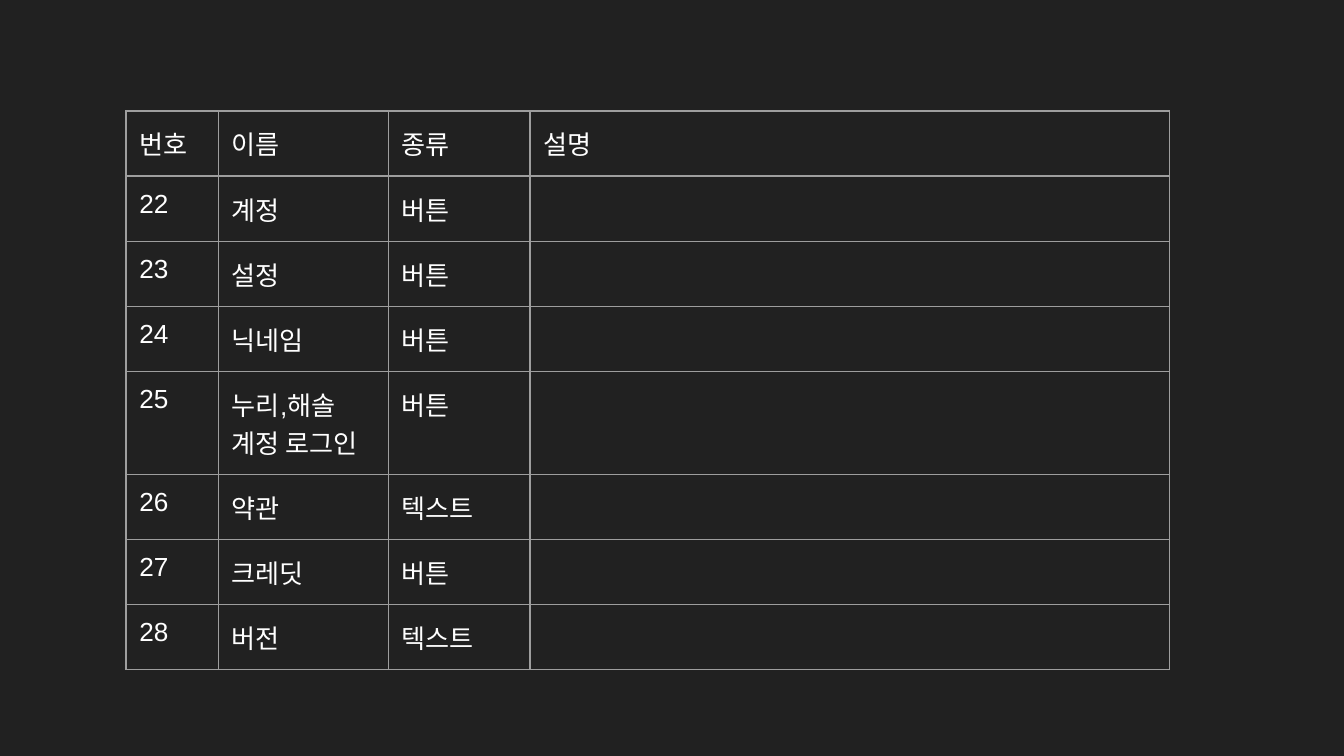
from lxml.etree import SubElement
from pptx import Presentation
from pptx.dml.color import RGBColor
from pptx.oxml.ns import qn
from pptx.util import Pt

HEADER = ("번호", "이름", "종류", "설명")
ITEMS = [
    ("22", "계정", "버튼", ""),
    ("23", "설정", "버튼", ""),
    ("24", "닉네임", "버튼", ""),
    ("25", "누리,해솔 계정 로그인", "버튼", ""),
    ("26", "약관", "텍스트", ""),
    ("27", "크레딧", "버튼", ""),
    ("28", "버전", "텍스트", ""),
]
COLORS = {"background": "212121", "border": "9E9E9E", "text": "FFFFFF"}
FONT = "Arial"
FONT_SIZE = 14
BORDER_WIDTH = 0.75
CELL_MARGIN = 7.2

TABLE_LEFT, TABLE_TOP = 67.5, 59.5
COLUMN_WIDTHS = (49.5, 91, 76, 342.5)
ROW_HEIGHT, TALL_ROW_HEIGHT = 30, 46
TALL_ITEM = "25"


def add_borders(cell):
    properties = cell._tc.get_or_add_tcPr()
    for side in ("L", "R", "T", "B"):
        line = SubElement(properties, qn(f"a:ln{side}"), w=str(Pt(BORDER_WIDTH)))
        fill = SubElement(line, qn("a:solidFill"))
        SubElement(fill, qn("a:srgbClr"), val=COLORS["border"])


def format_cell(cell, text):
    cell.margin_left = cell.margin_right = Pt(CELL_MARGIN)
    cell.margin_top = cell.margin_bottom = Pt(CELL_MARGIN)
    add_borders(cell)
    cell.fill.background()
    cell.text_frame.text = text
    paragraph = cell.text_frame.paragraphs[0]
    for run in paragraph.runs:
        run.font.name = FONT
        run.font.size = Pt(FONT_SIZE)
        run.font.color.rgb = RGBColor.from_string(COLORS["text"])
    if not text:
        # An empty cell keeps the row low only with its own text size.
        SubElement(paragraph._p, qn("a:endParaRPr"), sz=str(FONT_SIZE * 100))


def add_item_table(slide):
    rows = [HEADER, *ITEMS]
    heights = [TALL_ROW_HEIGHT if row[0] == TALL_ITEM else ROW_HEIGHT for row in rows]
    table = slide.shapes.add_table(
        len(rows), len(HEADER), Pt(TABLE_LEFT), Pt(TABLE_TOP),
        Pt(sum(COLUMN_WIDTHS)), Pt(sum(heights)),
    ).table
    table.first_row = table.horz_banding = False
    for column, width in zip(table.columns, COLUMN_WIDTHS):
        column.width = Pt(width)
    for table_row, height, texts in zip(table.rows, heights, rows):
        table_row.height = Pt(height)
        for cell, text in zip(table_row.cells, texts):
            format_cell(cell, text)


def main():
    presentation = Presentation()
    presentation.slide_width, presentation.slide_height = Pt(720), Pt(405)
    slide = presentation.slides.add_slide(presentation.slide_layouts[6])
    slide.background.fill.solid()
    slide.background.fill.fore_color.rgb = RGBColor.from_string(COLORS["background"])
    add_item_table(slide)
    presentation.save("out.pptx")


if __name__ == "__main__":
    main()
